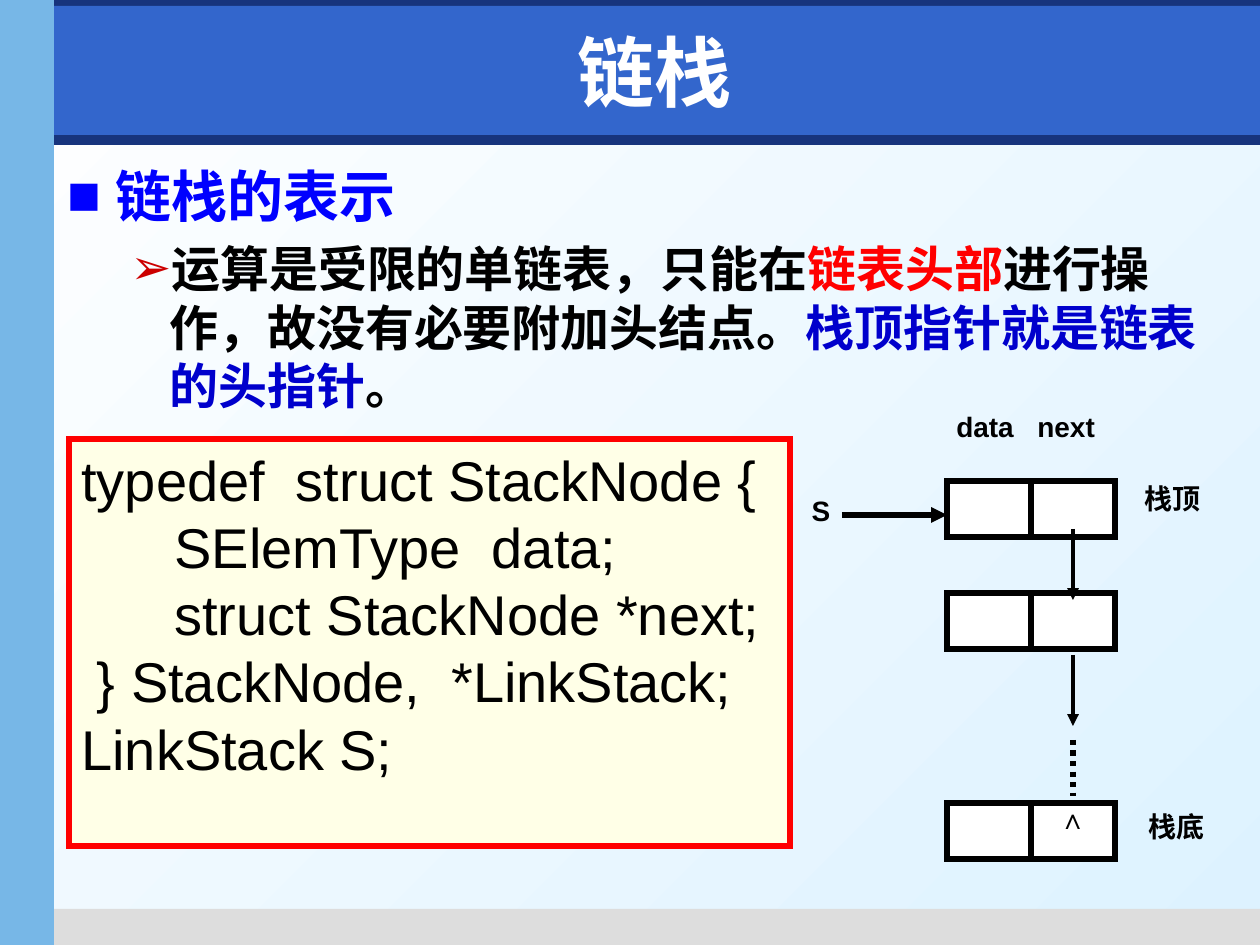
import pptx
import pptx.util
import pptx.dml.color
import pptx.enum.dml
import pptx.enum.shapes
import pptx.enum.text
import pptx.oxml.ns
from lxml import etree

SCALE = 914400 / 126
THEME = {
    "navy": "17347D", "header": "3366CC", "side": "77B7E7", "footer": "DDDDDD",
    "white": "FFFFFF", "sky": "DDF2FF", "black": "000000", "red": "FF0000",
    "blue": "0000FF", "deep_blue": "0000CC", "arrow": "CC0000", "cream": "FFFFE7",
    "font": "Arial", "title_font": "DejaVu Sans",
    "title": 44, "heading": 32, "body": 28, "code": 32, "label": 16,
    "thick": 3, "medium": 2.25,
}

BANDS = [
    ((5, 135, 1255, 10), "navy"),
    ((44, 909, 1216, 36), "footer"),
    ((0, 0, 1260, 26), "navy"),
    ((54, 6, 1206, 129), "header"),
    ((0, 0, 54, 945), "side"),
]
TITLE = "链栈"
BODY = [
    {"bullet": ("■", "blue"), "indent": (48, -48), "size": "heading", "before": 0,
     "runs": [("链栈的表示", "blue")]},
    {"bullet": ("➢", "arrow"), "indent": (102, -39), "size": "body", "before": 5.6,
     "runs": [("运算是受限的单链表，只能在", "black"), ("链表头部", "red"),
              ("进行操作，故没有必要附加头结点。", "black"),
              ("栈顶指针就是链表的头指针", "deep_blue"), ("。", "black")]},
]
CODE = [
    "typedef  struct StackNode {",
    "      SElemType  data;",
    "      struct StackNode *next;",
    " } StackNode,  *LinkStack;",
    "LinkStack S;",
]
NODE_LEFT, NODE_WIDTH, NODE_HEIGHT, DIVIDER = 947, 168, 56, 84
NODE_TOPS = [481, 593, 803]
NEXT_X = 1073
LINES = [
    ((NEXT_X, 529, NEXT_X, 600), "medium", "arrow"),
    ((NEXT_X, 655, NEXT_X, 726), "medium", "arrow"),
    ((NEXT_X, 740, NEXT_X, 796), "thick", "dots"),
    ((842, 515, NODE_LEFT, 515), "thick", "arrow"),
]
LABELS = [
    ("data", 944, 403, 84, "LEFT"),
    ("next", 1025, 403, 84, "LEFT"),
    ("栈顶", 1132, 475, 100, "LEFT"),
    ("栈底", 1136, 803, 100, "LEFT"),
    ("∧", 1042, 795, 62, "CENTER"),
    ("S", 790, 487, 62, "CENTER"),
]


def px(value):
    return round(value * SCALE)


def color(name):
    return pptx.dml.color.RGBColor.from_string(THEME[name])


def add_run(paragraph, text, size, color_name, bold=True, font="font"):
    run = paragraph.add_run()
    run.text = text
    values = {"size": pptx.util.Pt(THEME[size]), "bold": bold, "name": THEME[font]}
    for name, value in values.items():
        setattr(run.font, name, value)
    run.font.color.rgb = color(color_name)


def set_indent(paragraph, left, first):
    properties = paragraph._p.get_or_add_pPr()
    values = {"marL": px(left), "indent": px(first), "hangingPunct": 0}
    for name, value in values.items():
        properties.set(name, str(value))
    return properties


def add_bullet(properties, character, color_name):
    tag = pptx.oxml.ns.qn
    bullet_color = etree.SubElement(properties, tag("a:buClr"))
    etree.SubElement(bullet_color, tag("a:srgbClr"), val=THEME[color_name])
    etree.SubElement(properties, tag("a:buFont"), typeface=THEME["font"])
    etree.SubElement(properties, tag("a:buChar"), char=character)


def add_box(slide, bounds, fill, line=None):
    shape = slide.shapes.add_shape(pptx.enum.shapes.MSO_SHAPE.RECTANGLE, *map(px, bounds))
    shape.shadow.inherit = False
    shape.fill.solid()
    shape.fill.fore_color.rgb = color(fill)
    if line:
        shape.line.color.rgb = color(line)
        shape.line.width = pptx.util.Pt(THEME["thick"])
        etree.SubElement(shape.line._get_or_add_ln(),
                         pptx.oxml.ns.qn("a:miter"), lim="800000")
    else:
        shape.line.fill.background()
    return shape


def add_text(slide, bounds):
    frame = slide.shapes.add_textbox(*map(px, bounds)).text_frame
    frame.word_wrap = True
    return frame


def add_line(slide, points, width, style=None):
    connector = slide.shapes.add_connector(
        pptx.enum.shapes.MSO_CONNECTOR.STRAIGHT, *map(px, points))
    connector.line.color.rgb = color("black")
    connector.line.width = pptx.util.Pt(THEME[width])
    if style == "dots":
        connector.line.dash_style = pptx.enum.dml.MSO_LINE.ROUND_DOT
    if style == "arrow":
        etree.SubElement(connector.line._get_or_add_ln(),
                         pptx.oxml.ns.qn("a:tailEnd"), type="triangle")
    etree.SubElement(connector._element.spPr, pptx.oxml.ns.qn("a:effectLst"))


def add_title(slide):
    frame = add_text(slide, (75, 13, 1160, 116))
    frame.vertical_anchor = pptx.enum.text.MSO_ANCHOR.MIDDLE
    paragraph = frame.paragraphs[0]
    paragraph.alignment = pptx.enum.text.PP_ALIGN.CENTER
    add_run(paragraph, TITLE, "title", "white", font="title_font")


def add_body(slide):
    frame = add_text(slide, (55, 155, 1180, 743))
    for index, item in enumerate(BODY):
        paragraph = frame.add_paragraph() if index else frame.paragraphs[0]
        add_bullet(set_indent(paragraph, *item["indent"]), *item["bullet"])
        if index:
            paragraph.space_before = pptx.util.Pt(item["before"])
        for text, color_name in item["runs"]:
            add_run(paragraph, text, item["size"], color_name)


def add_code(slide):
    frame = add_box(slide, (69, 439, 721, 407), "cream", "red").text_frame
    frame.word_wrap = True
    frame.vertical_anchor = pptx.enum.text.MSO_ANCHOR.TOP
    for index, text in enumerate(CODE):
        paragraph = frame.add_paragraph() if index else frame.paragraphs[0]
        paragraph.alignment = pptx.enum.text.PP_ALIGN.LEFT
        set_indent(paragraph, 48, -48)
        add_run(paragraph, text, "code", "black", bold=False)


def add_linked_stack(slide):
    for top in NODE_TOPS:
        add_box(slide, (NODE_LEFT, top, NODE_WIDTH, NODE_HEIGHT), "white", "black")
        middle = NODE_LEFT + DIVIDER
        add_line(slide, (middle, top, middle, top + NODE_HEIGHT), "thick")
    for points, width, style in LINES:
        add_line(slide, points, width, style)
    for text, left, top, width, alignment in LABELS:
        paragraph = add_text(slide, (left, top, width, 47)).paragraphs[0]
        paragraph.alignment = getattr(pptx.enum.text.PP_ALIGN, alignment)
        add_run(paragraph, text, "label", "black")


def main():
    presentation = pptx.Presentation()
    presentation.slide_width, presentation.slide_height = px(1260), px(945)
    slide = presentation.slides.add_slide(presentation.slide_layouts[6])
    background = slide.background.fill
    background.gradient()
    background.gradient_angle = 315
    for stop, name in zip(background.gradient_stops, ("white", "sky")):
        stop.color.rgb = color(name)
    for bounds, fill in BANDS:
        add_box(slide, bounds, fill)
    add_title(slide)
    add_body(slide)
    add_code(slide)
    add_linked_stack(slide)
    presentation.save("out.pptx")


if __name__ == "__main__":
    main()
